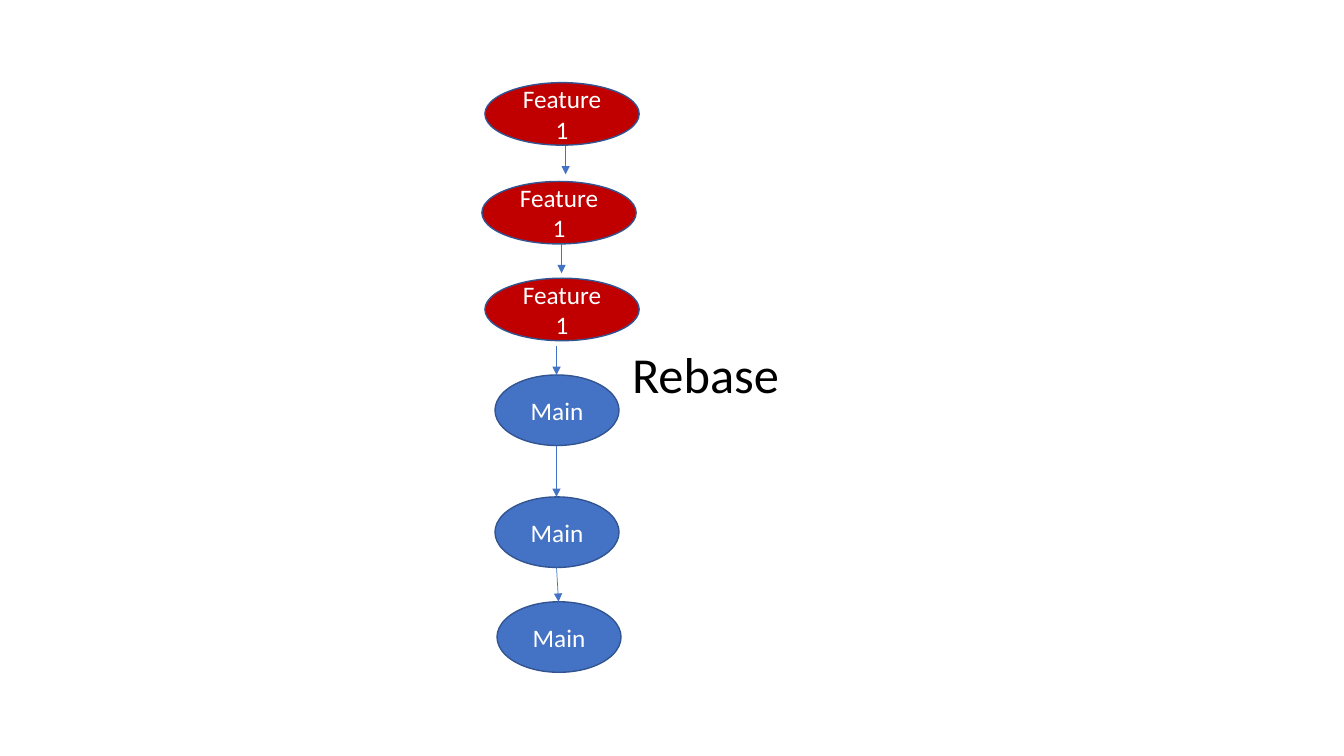
"""Draw a commit chain after a rebase: feature commits on top of main."""
from dataclasses import dataclass

from lxml.etree import SubElement
from pptx import Presentation
from pptx.dml.color import RGBColor
from pptx.enum.shapes import MSO_CONNECTOR as Link, MSO_SHAPE as Shape
from pptx.enum.text import MSO_ANCHOR as Anchor, MSO_AUTO_SIZE as Fit, PP_ALIGN as Align
from pptx.oxml.ns import qn
from pptx.util import Inches, Pt

BLUE, RED, EDGE, WHITE, BLACK = "4472C4", "C00000", "325491", "FFFFFF", "000000"


@dataclass(frozen=True)
class Kind:
    text: str
    fill: str
    width: float
    height: float


@dataclass(frozen=True)
class Commit:
    kind: Kind
    left: float
    top: float


@dataclass(frozen=True)
class Arrow:
    x: float
    top: float
    end: float
    shift: float = 0


MAIN = Kind("Main", BLUE, 1.23, 0.7)
FEATURE = Kind("Feature 1", RED, 1.53, 0.62)

COMMITS = [
    Commit(FEATURE, 4.81, 0.82),
    Commit(FEATURE, 4.78, 1.8),
    Commit(FEATURE, 4.81, 2.76),
    Commit(MAIN, 4.91, 3.72),
    Commit(MAIN, 4.91, 4.93),
    Commit(MAIN, 4.93, 5.97),
]

ARROWS = [
    Arrow(5.61, 1.45, 1.73),
    Arrow(5.57, 2.42, 2.71),
    Arrow(5.52, 3.43, 3.72),
    Arrow(5.52, 4.42, 4.93),
    Arrow(5.52, 5.63, 5.97, 0.02),
]


def paint(color, code: str) -> None:
    color.rgb = RGBColor.from_string(code)


def write(frame, text: str, size: int, code: str, align: Align) -> None:
    para = frame.paragraphs[0]
    para.alignment = align
    run = para.add_run()
    run.text = text
    for name, value in {"name": "Calibri", "size": Pt(size)}.items():
        setattr(run.font, name, value)
    paint(run.font.color, code)


def draw_line(line, code: str, width: float) -> None:
    paint(line.color, code)
    line.width = Pt(width)


def add_commit(slide, commit: Commit) -> None:
    kind = commit.kind
    box = map(Inches, (commit.left, commit.top, kind.width, kind.height))
    oval = slide.shapes.add_shape(Shape.OVAL, *box)
    oval.shadow.inherit = False
    oval.fill.solid()
    paint(oval.fill.fore_color, kind.fill)
    draw_line(oval.line, EDGE, 1)
    frame = oval.text_frame
    for name, value in {"word_wrap": True, "vertical_anchor": Anchor.MIDDLE}.items():
        setattr(frame, name, value)
    write(frame, kind.text, 18, WHITE, Align.CENTER)


def add_arrow(slide, arrow: Arrow) -> None:
    ends = map(Inches, (arrow.x, arrow.top, arrow.x + arrow.shift, arrow.end))
    link = slide.shapes.add_connector(Link.STRAIGHT, *ends)
    draw_line(link.line, BLUE, 0.5)
    props = link._element.spPr
    SubElement(props.find(qn("a:ln")), qn("a:tailEnd"), type="triangle")
    SubElement(props, qn("a:effectLst"))


def add_label(slide) -> None:
    box = slide.shapes.add_textbox(*map(Inches, (6.17, 3.35, 1.82, 0.71)))
    frame = box.text_frame
    for name, value in {"word_wrap": True, "auto_size": Fit.SHAPE_TO_FIT_TEXT}.items():
        setattr(frame, name, value)
    write(frame, "Rebase", 36, BLACK, Align.LEFT)


def main() -> None:
    deck = Presentation()
    deck.slide_width, deck.slide_height = Inches(13.33), Inches(7.5)
    slide = deck.slides.add_slide(deck.slide_layouts.get_by_name("Blank"))
    for commit in COMMITS:
        add_commit(slide, commit)
    for arrow in ARROWS:
        add_arrow(slide, arrow)
    add_label(slide)
    deck.save("out.pptx")


if __name__ == "__main__":
    main()
